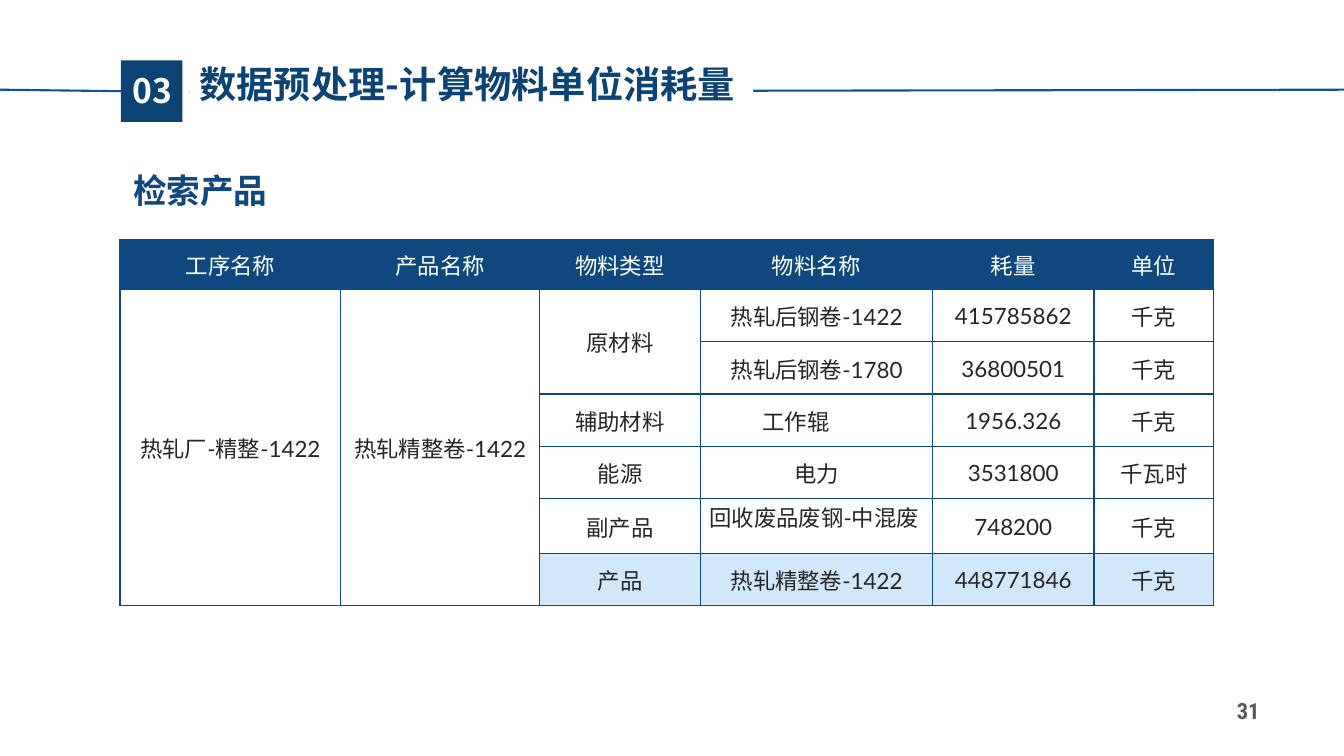
from lxml import etree
from pptx import Presentation
from pptx.dml.color import RGBColor
from pptx.enum.shapes import MSO_CONNECTOR, MSO_SHAPE
from pptx.enum.text import MSO_ANCHOR, PP_ALIGN
from pptx.oxml.ns import qn
from pptx.util import Inches, Pt

STRAIGHT, RECT = MSO_CONNECTOR.STRAIGHT, MSO_SHAPE.RECTANGLE
TOP, MIDDLE = MSO_ANCHOR.TOP, MSO_ANCHOR.MIDDLE
LEFT, CENTER = PP_ALIGN.LEFT, PP_ALIGN.CENTER

COLORS = {"navy": "0C4375", "table": "0E487F", "rule": "1052A0", "highlight": "D1E7FA",
          "white": "FFFFFF", "ink": "262626", "gray": "595959"}
CJK, LATIN, NUMBER = "Noto Sans CJK SC", "Lato", "Roboto Condensed"

SECTION = "03"
TITLE = "数据预处理-计算物料单位消耗量"
SUBTITLE = "检索产品"
PAGE = "31"
HEADERS = ["工序名称", "产品名称", "物料类型", "物料名称", "耗量", "单位"]
MATERIALS = [
    ("热轧厂-精整-1422", "热轧精整卷-1422", "原材料", "热轧后钢卷-1422", "415785862", "千克"),
    ("", "", "", "热轧后钢卷-1780", "36800501", "千克"),
    ("", "", "辅助材料", "工作辊", "1956.326", "千克"),
    ("", "", "能源", "电力", "3531800", "千瓦时"),
    ("", "", "副产品", "回收废品废钢-中混废", "748200", "千克"),
    ("", "", "产品", "热轧精整卷-1422", "448771846", "千克"),
]
MERGES = [((1, 0), (6, 0)), ((1, 1), (6, 1)), ((1, 2), (2, 2))]
COLUMNS = [2.19, 1.97, 1.6, 2.3, 1.6, 1.19]
ROWS = [0.49] + [0.52] * 4 + [0.54, 0.52]
OFFSETS = {"工作辊": (0.42, 0), "回收废品废钢-中混废": (0.06, 0.19)}
TABLE_LEFT, TABLE_TOP = 1.19, 2.38
WIDTH, HEIGHT = 13.33, 7.5


def rgb(name):
    return RGBColor.from_string(COLORS[name])


def write(frame, text, size=16, color="ink", latin=CJK, bold=False, align=CENTER, spacing=None):
    paragraph = frame.paragraphs[0]
    paragraph.alignment = align
    paragraph.line_spacing = spacing
    run = paragraph.add_run()
    run.text = text
    run.font.size, run.font.bold, run.font.name = Pt(size), bold, latin
    run.font.color.rgb = rgb(color)
    east_asian = etree.SubElement(run.font._element, qn("a:ea"))
    east_asian.set("typeface", CJK)


def label(shapes, text, place, anchor=MIDDLE, insets=(0.1, 0.05), fill=None, **style):
    box = shapes.add_textbox(*map(Inches, place))
    if fill:
        box.fill.solid()
        box.fill.fore_color.rgb = rgb(fill)
    frame = box.text_frame
    frame.word_wrap = True
    frame.vertical_anchor = anchor
    frame.margin_left = frame.margin_right = Inches(insets[0])
    frame.margin_top = frame.margin_bottom = Inches(insets[1])
    write(frame, text, **style)


def rule(shapes, start, end):
    line = shapes.add_connector(STRAIGHT, *map(Inches, start + end))
    line.line.color.rgb = rgb("rule")
    line.line.width = Pt(1.5)
    etree.SubElement(line._element.spPr, qn("a:effectLst"))
    return line


def border(cell):
    properties = cell._tc.get_or_add_tcPr()
    for position, side in enumerate(("lnL", "lnR", "lnT", "lnB")):
        edge = etree.Element(qn("a:" + side), w=str(Pt(1)))
        fill = etree.SubElement(edge, qn("a:solidFill"))
        etree.SubElement(fill, qn("a:srgbClr"), val=COLORS["table"])
        properties.insert(position, edge)


def material_table(shapes):
    records = [HEADERS] + MATERIALS
    table = shapes.add_table(len(ROWS), len(COLUMNS), Inches(TABLE_LEFT), Inches(TABLE_TOP),
                             Inches(sum(COLUMNS)), Inches(sum(ROWS))).table
    table.horz_banding = False
    for column, width in zip(table.columns, COLUMNS):
        column.width = Inches(width)
    for row, height in zip(table.rows, ROWS):
        row.height = Inches(height)
    for r, record in enumerate(records):
        for c, text in enumerate(record):
            cell = table.cell(r, c)
            highlighted = r == len(MATERIALS) and c > 1
            cell.fill.solid()
            cell.fill.fore_color.rgb = rgb("table" if r == 0 else "highlight" if highlighted else "white")
            cell.vertical_anchor = MIDDLE
            right, bottom = OFFSETS.get(text, (0.01, 0))
            cell.margin_left = cell.margin_top = Inches(0.01)
            cell.margin_right, cell.margin_bottom = Inches(right), Inches(bottom)
            if text:
                write(cell.text_frame, text, color="white" if r == 0 else "ink", latin=LATIN)
            border(cell)
    for first, last in MERGES:
        table.cell(*first).merge(table.cell(*last))


def main():
    deck = Presentation()
    deck.slide_width, deck.slide_height = Inches(WIDTH), Inches(HEIGHT)
    shapes = deck.slides.add_slide(deck.slide_layouts[6]).shapes

    label(shapes, PAGE, (12.07, 6.87, 0.62, 0.36), color="gray", latin=NUMBER, bold=True)
    rule(shapes, (1.88, 0.91), (WIDTH, 0.89))
    badge = shapes.add_shape(RECT, *map(Inches, (1.2, 0.6, 0.61, 0.61)))
    badge.shadow.inherit = False
    badge.fill.solid()
    badge.fill.fore_color.rgb = rgb("navy")
    badge.line.fill.background()
    rule(shapes, (0, 0.89), (1.2, 0.9)).end_connect(badge, 1)

    label(shapes, TITLE, (1.88, 0.63, 5.59, 0.55), anchor=TOP, fill="white",
          size=26.6, color="navy", bold=True, align=LEFT, spacing=0.84)
    label(shapes, SECTION, (1.19, 0.64, 0.64, 0.5), size=24, color="white", bold=True)
    label(shapes, SUBTITLE, (TABLE_LEFT, 1.45, sum(COLUMNS), 0.67), insets=(0.13, 0.07),
          size=24, color="table", bold=True, align=LEFT, spacing=1.5)
    material_table(shapes)
    deck.save("out.pptx")


if __name__ == "__main__":
    main()
